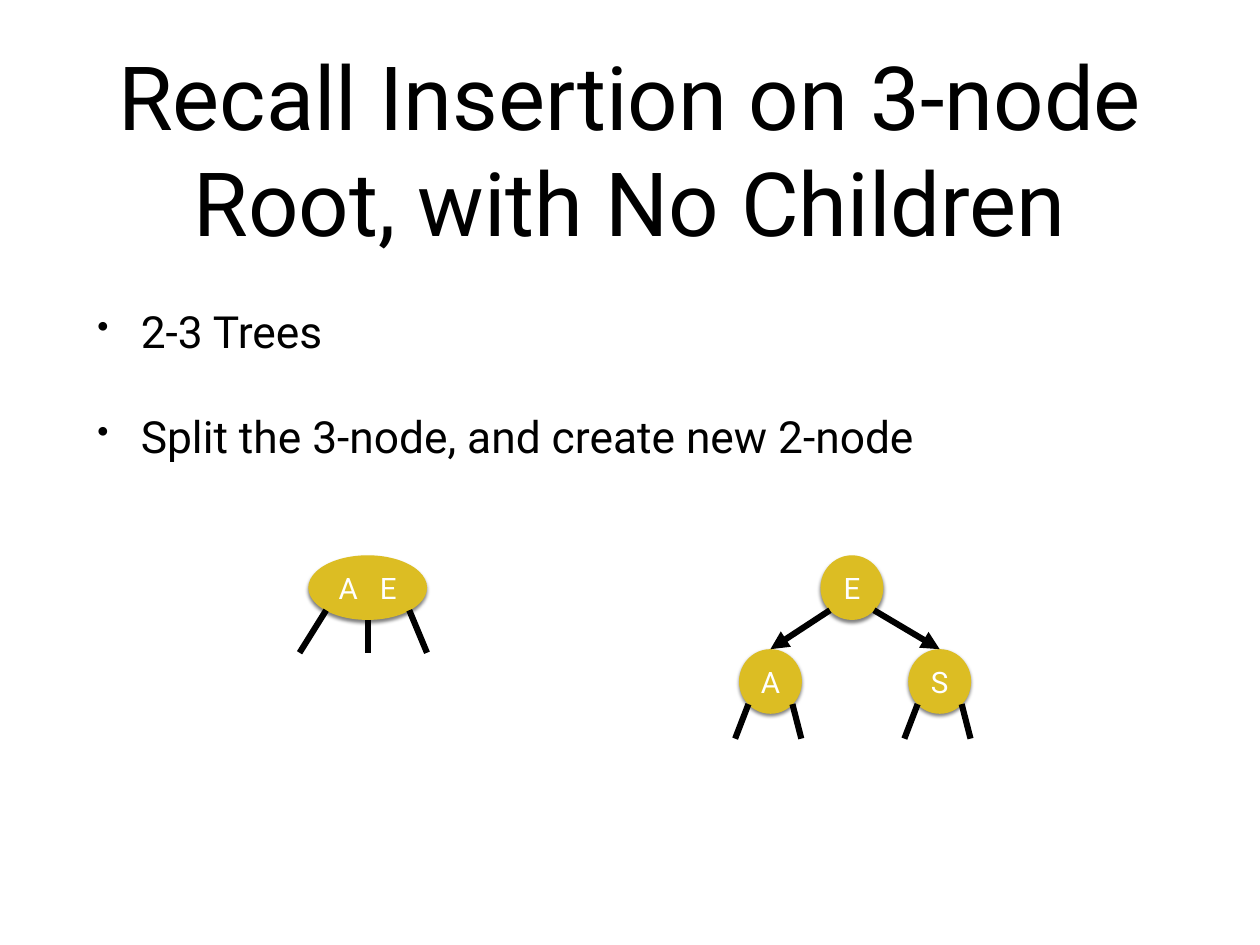
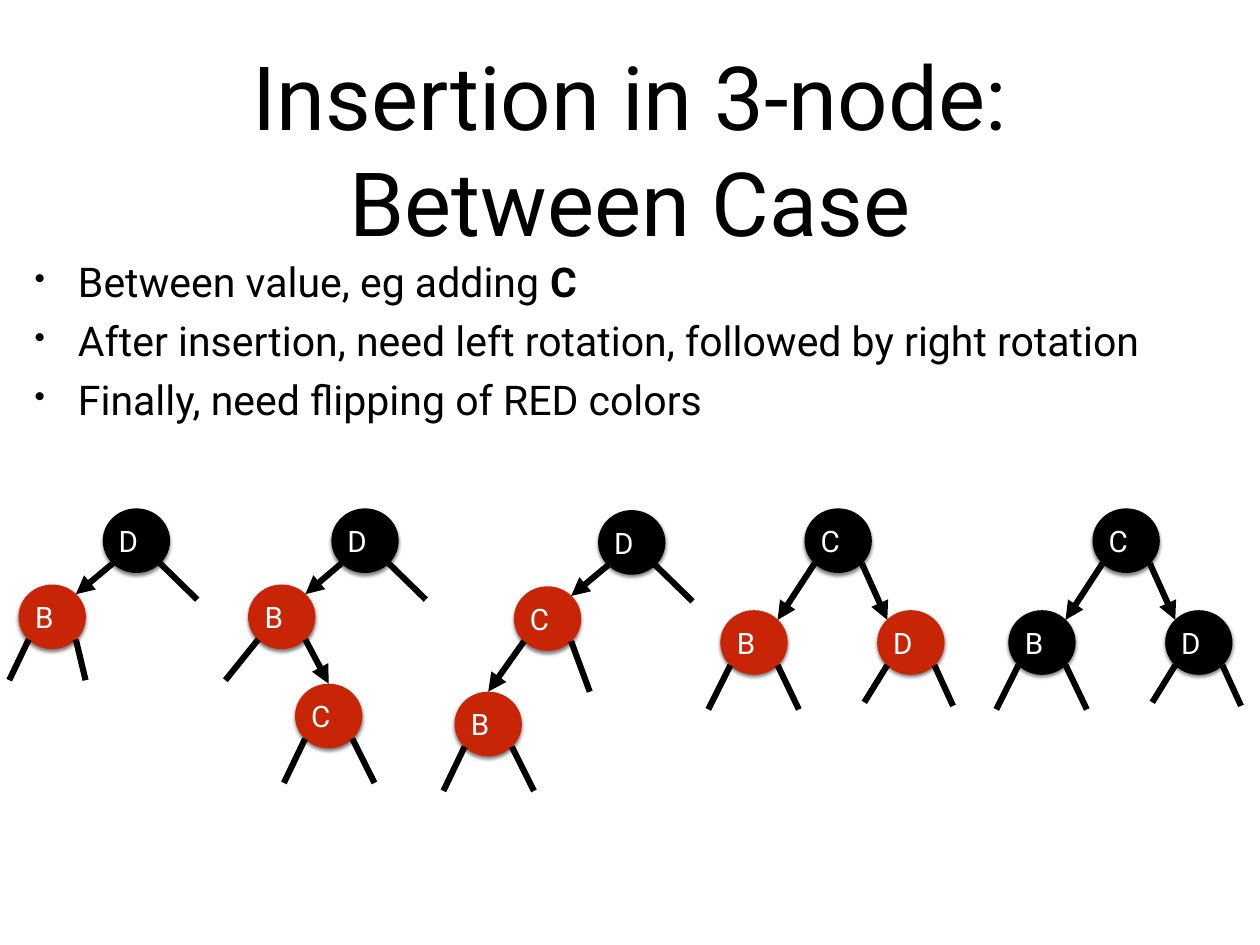
from lxml import etree
from pptx import Presentation
from pptx.dml.color import RGBColor
from pptx.enum.shapes import MSO_CONNECTOR, MSO_SHAPE
from pptx.enum.text import MSO_ANCHOR, MSO_AUTO_SIZE, PP_ALIGN
from pptx.oxml.ns import qn
from pptx.util import Inches, Pt

STRAIGHT = MSO_CONNECTOR.STRAIGHT
OVAL = MSO_SHAPE.OVAL
MIDDLE = MSO_ANCHOR.MIDDLE
NO_FIT = MSO_AUTO_SIZE.NONE
CENTER = PP_ALIGN.CENTER

FONT = "Roboto"
BLACK, WHITE, GOLD, RED = "000000", "FFFFFF", "DCBD23", "C82506"
INSET = 0.06
NODE_H = 0.73
TITLE_BOX = (1.04, 0.49, 12.14, 2.36)

# Points on an oval, as shares of its width and height
SITES = {"N": (0.5, 0), "S": (0.5, 1), "NW": (0.15, 0.15), "NE": (0.85, 0.15),
         "SW": (0.15, 0.85), "SE": (0.85, 0.85)}

# Tree parts: nodes (label, offset from root, fill),
# arrows (parent, site, child, site), stubs (node, site, dx, dy)
LEFT_ARROW = (0, "SW", 1, "NE")
ROOT_STUB = (0, "SE", 0.42, 0.41)
GRANDCHILD_STUBS = [(2, "SW", -0.24, 0.5), (2, "SE", 0.25, 0.5)]
BALANCED_ARROWS = [LEFT_ARROW, (0, "SE", 2, "NW")]
BALANCED_STUBS = [(1, "SW", -0.25, 0.5), (1, "SE", 0.24, 0.5),
                  (2, "SW", -0.26, 0.42), (2, "SE", 0.21, 0.46)]


def balanced_nodes(child_fill):
    return [("C", 0, 0, BLACK), ("B", -0.95, 1.15, child_fill),
            ("D", 0.82, 1.15, child_fill)]


SLIDES = [
    dict(
        title="Recall Insertion on 3-node Root, with No Children",
        box=(1.04, 3.33, 12.14, 1.99), size=36, before=42, spacing=1.0,
        bullets=[[("2-3 Trees", False)],
                 [("Split the 3-node, and create new 2-node", False)]],
        label_shift=0,
        trees=[
            dict(root=(3.48, 6.27), node_w=1.34,
                 nodes=[("A E", 0, 0, GOLD)], arrows=[],
                 stubs=[(0, "SW", -0.3, 0.48), (0, "S", 0, 0.37),
                        (0, "SE", 0.2, 0.48)]),
            dict(root=(9.26, 6.27), node_w=0.71,
                 nodes=[("E", 0, 0, GOLD), ("A", -0.92, 1.06, GOLD),
                        ("S", 0.99, 1.06, GOLD)],
                 arrows=[(0, "SW", 1, "N"), (0, "SE", 2, "N")],
                 stubs=[(child, site, dx, 0.39) for child in (1, 2)
                        for site, dx in (("SW", -0.15), ("SE", 0.1))]),
        ],
    ),
    dict(
        title="Insertion in 3-node: Between Case",
        box=(0.33, 2.85, 13.58, 2.06), size=33.3, before=12, spacing=0.9,
        bullets=[[("Between value, eg adding ", False), ("C", True)],
                 [("After insertion, need left rotation, "
                   "followed by right rotation", False)],
                 [("Finally, need flipping of RED colors", False)]],
        label_shift=0.18,
        trees=[
            dict(root=(1.16, 5.74), node_w=0.76,
                 nodes=[("D", 0, 0, BLACK), ("B", -0.95, 0.86, RED)],
                 arrows=[LEFT_ARROW],
                 stubs=[ROOT_STUB, (1, "SW", -0.22, 0.46),
                        (1, "SE", 0.11, 0.46)]),
            dict(root=(3.74, 5.74), node_w=0.76,
                 nodes=[("D", 0, 0, BLACK), ("B", -0.94, 0.86, RED),
                        ("C", -0.41, 1.98, RED)],
                 arrows=[LEFT_ARROW, (1, "SE", 2, "N")],
                 stubs=[ROOT_STUB, (1, "SW", -0.37, 0.46)] + GRANDCHILD_STUBS),
            dict(root=(6.75, 5.76), node_w=0.76,
                 nodes=[("D", 0, 0, BLACK), ("C", -0.95, 0.86, RED),
                        ("B", -1.62, 2.05, RED)],
                 arrows=[LEFT_ARROW, (1, "SW", 2, "N")],
                 stubs=[ROOT_STUB, (1, "SE", 0.21, 0.57)] + GRANDCHILD_STUBS),
            dict(root=(9.08, 5.74), node_w=0.76, nodes=balanced_nodes(RED),
                 arrows=BALANCED_ARROWS, stubs=BALANCED_STUBS),
            dict(root=(12.33, 5.74), node_w=0.76, nodes=balanced_nodes(BLACK),
                 arrows=BALANCED_ARROWS, stubs=BALANCED_STUBS),
        ],
    ),
]


def color(hex_string):
    return RGBColor.from_string(hex_string)


def add_xml(parent, tag, **attributes):
    return etree.SubElement(parent, qn(tag), attributes)


def setup_frame(tf, wrap=True):
    tf.word_wrap = wrap
    tf.auto_size = NO_FIT
    tf.vertical_anchor = MIDDLE
    tf.margin_left = tf.margin_right = Inches(INSET)
    tf.margin_top = tf.margin_bottom = Inches(INSET)


def add_run(p, text, size, hex_string=BLACK, bold=False):
    r = p.add_run()
    r.text = text
    r.font.name, r.font.size, r.font.bold = FONT, Pt(size), bold
    r.font.color.rgb = color(hex_string)
    return r


def add_title(s, text):
    sp = s.shapes.title
    sp.left, sp.top, sp.width, sp.height = map(Inches, TITLE_BOX)
    setup_frame(sp.text_frame)
    p = sp.text_frame.paragraphs[0]
    p.alignment = CENTER
    add_run(p, text, 72)


def add_bullets(s, box, bullets, size, before, spacing):
    tf = s.shapes.add_textbox(*map(Inches, box)).text_frame
    setup_frame(tf)
    for i, runs in enumerate(bullets):
        p = tf.add_paragraph() if i else tf.paragraphs[0]
        pPr = p._p.get_or_add_pPr()
        pPr.set("marL", str(Inches(0.49)))
        pPr.set("indent", str(-Inches(0.49)))
        add_xml(pPr, "a:buSzPct", val="75000")
        add_xml(pPr, "a:buChar", char="•")
        p.line_spacing = spacing
        p.space_before = Pt(before if i else 0)
        for text, bold in runs:
            add_run(p, text, size, bold=bold)


def add_node(s, label, x, y, w, fill, label_shift):
    sp = s.shapes.add_shape(OVAL, *map(Inches, (x, y, w, NODE_H)))
    sp.fill.solid()
    sp.fill.fore_color.rgb = color(fill)
    sp.line.fill.background()
    # Soft shadow straight below
    sp.shadow.inherit = False
    effects = sp._element.spPr.find(qn("a:effectLst"))
    shadow = add_xml(effects, "a:outerShdw", blurRad=str(Pt(3)), dist=str(Pt(2)),
                     dir="5400000", rotWithShape="0")
    add_xml(add_xml(shadow, "a:srgbClr", val=BLACK), "a:alpha", val="50000")
    # Label, with a widened gap between two keys
    tf = sp.text_frame
    setup_frame(tf, wrap=False)
    tf.margin_right = Inches(INSET + label_shift)
    p = tf.paragraphs[0]
    p.alignment = CENTER
    for char in label:
        r = add_run(p, char, 24, WHITE)
        if char == " ":
            r.font._element.set("spc", "1200")


def add_branch(s, start, end, arrow=False):
    line = s.shapes.add_connector(STRAIGHT, *map(Inches, start + end))
    line.line.color.rgb = color(BLACK)
    line.line.width = Pt(5)
    if arrow:
        add_xml(line.line._get_or_add_ln(), "a:tailEnd", type="triangle")
    add_xml(line._element.spPr, "a:effectLst")


def add_tree(s, root, node_w, nodes, arrows, stubs, label_shift):
    def site_point(node, site):
        _, dx, dy, _ = nodes[node]
        fx, fy = SITES[site]
        return root[0] + dx + fx * node_w, root[1] + dy + fy * NODE_H

    for label, dx, dy, fill in nodes:
        add_node(s, label, root[0] + dx, root[1] + dy, node_w, fill, label_shift)
    for parent, start, child, end in arrows:
        add_branch(s, site_point(parent, start), site_point(child, end), True)
    for node, site, dx, dy in stubs:
        x, y = site_point(node, site)
        add_branch(s, (x, y), (x + dx, y + dy))


def main():
    prs = Presentation()
    prs.slide_width, prs.slide_height = Inches(14.22), Inches(10.67)
    for content in SLIDES:
        s = prs.slides.add_slide(prs.slide_layouts[5])
        add_title(s, content["title"])
        add_bullets(s, content["box"], content["bullets"], content["size"],
                    content["before"], content["spacing"])
        for tree in content["trees"]:
            add_tree(s, **tree, label_shift=content["label_shift"])
    prs.save("out.pptx")


if __name__ == "__main__":
    main()
